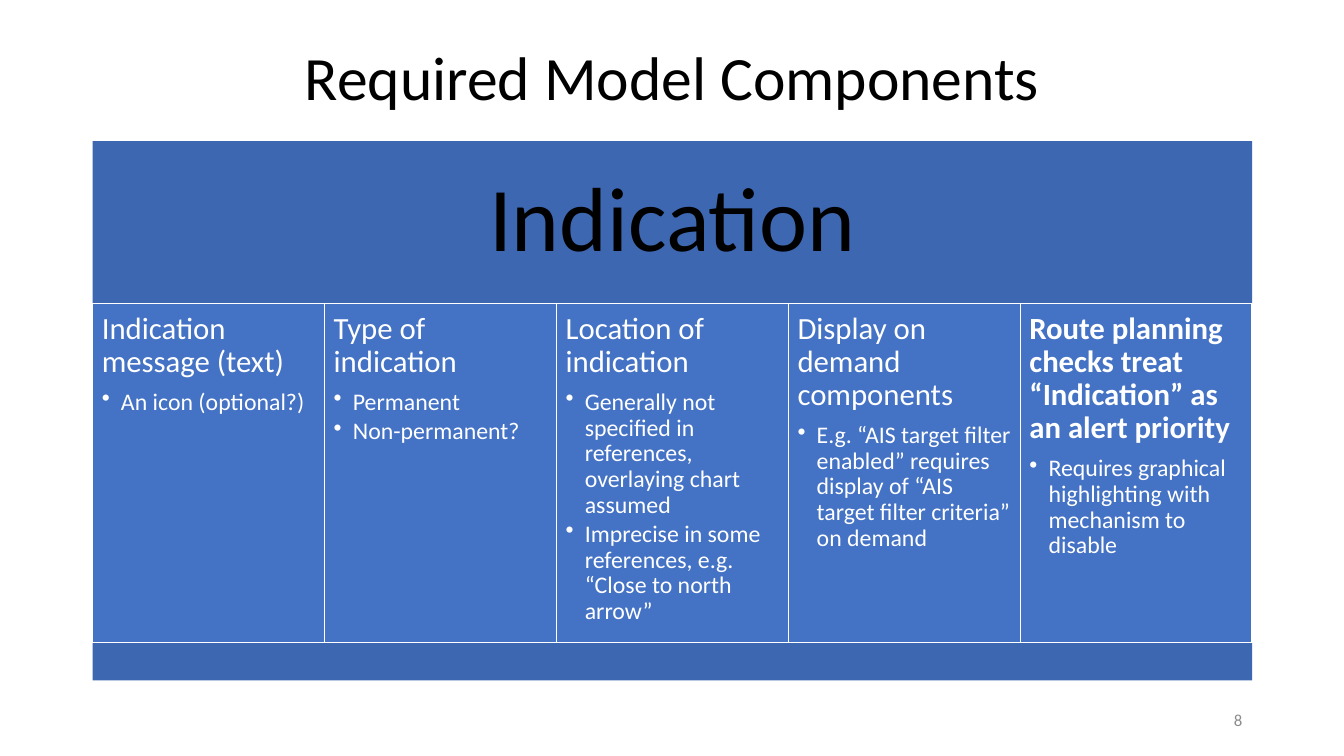
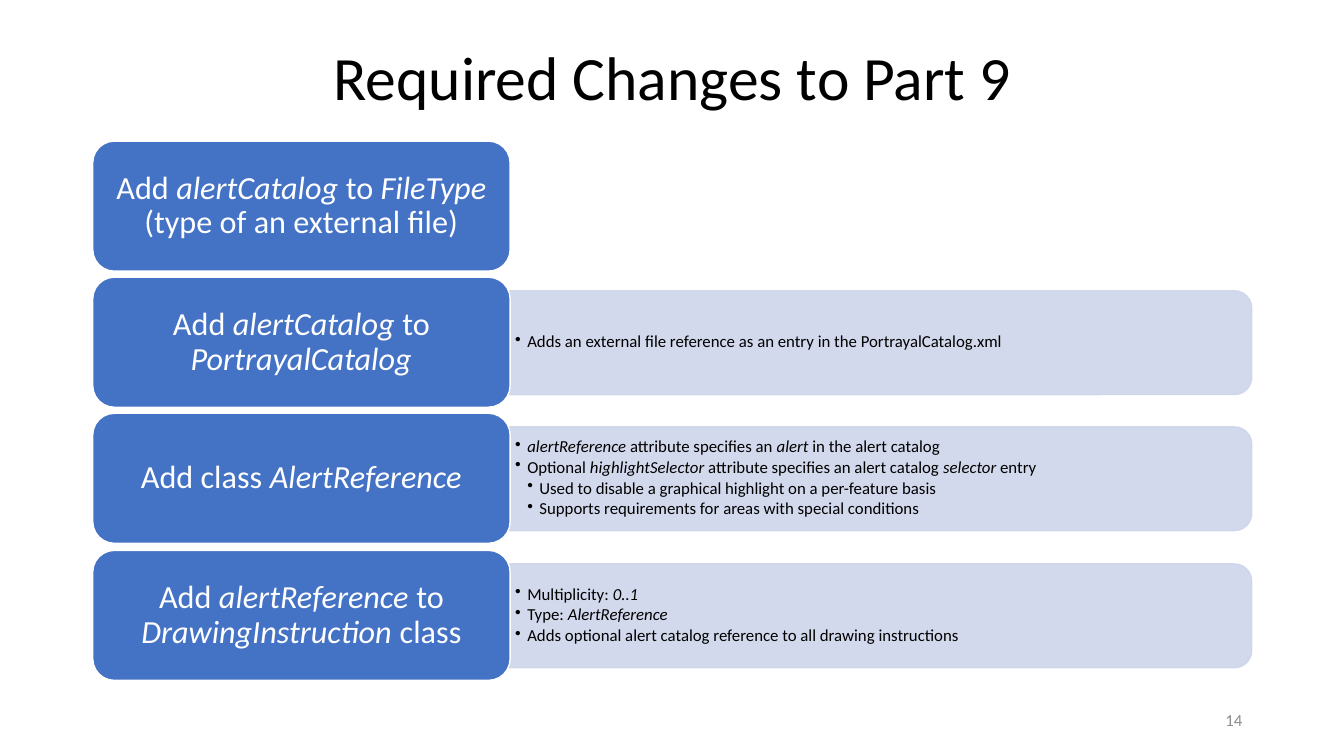
"""Build two slides on alert model components and catalogue changes."""
from dataclasses import dataclass

import lxml.etree
import pptx
import pptx.dml.color
import pptx.enum.shapes
import pptx.enum.text
import pptx.oxml.ns
import pptx.util

SHAPE = pptx.enum.shapes.MSO_SHAPE
ALIGN = pptx.enum.text.PP_ALIGN
ANCHOR = pptx.enum.text.MSO_ANCHOR
qn = pptx.oxml.ns.qn


@dataclass(frozen=True)
class Theme:
    """Colours, font, type sizes and page boxes in px."""
    font: str = "Calibri"
    black: str = "000000"
    white: str = "FFFFFF"
    grey: str = "8C8C8C"
    blue: str = "4472C4"
    dark_blue: str = "3E67B2"
    pale_blue: str = "CFD5EA"
    title: int = 44
    banner: int = 65
    card: int = 23
    heading: int = 22
    bullet: int = 17
    detail: int = 12
    page: tuple = (1333, 750)
    title_box: tuple = (92, 40, 1150, 79)
    body_box: tuple = (92, 140, 1150, 535)
    number_box: tuple = (942, 695, 300, 40)


THEME = Theme()

COLUMNS = [
    ("Indication message (text)", False, ["An icon (optional?)"]),
    ("Type of indication", False, ["Permanent", "Non-permanent?"]),
    ("Location of indication", False, [
        "Generally not specified in references, overlaying chart assumed",
        "Imprecise in some references, e.g. “Close to north arrow”"]),
    ("Display on demand components", False, [
        "E.g. “AIS target filter enabled” requires display of "
        "“AIS target filter criteria” on demand"]),
    ("Route planning checks treat “Indication” as an alert priority", True, [
        "Requires graphical highlighting with mechanism to disable"]),
]

CHANGES = [
    ("Add *alertCatalog* to *FileType* (type of an external file)", []),
    ("Add *alertCatalog* to *PortrayalCatalog*", [
        (1, "Adds an external file reference as an entry in the "
            "PortrayalCatalog.xml")]),
    ("Add class *AlertReference*", [
        (1, "*alertReference* attribute specifies an *alert* "
            "in the alert catalog"),
        (1, "Optional *highlightSelector* attribute specifies an alert "
            "catalog *selector* entry"),
        (2, "Used to disable a graphical highlight on a per-feature basis"),
        (2, "Supports requirements for areas with special conditions")]),
    ("Add *alertReference* to *DrawingInstruction* class", [
        (1, "Multiplicity: *0..1*"),
        (1, "Type: *AlertReference*"),
        (1, "Adds optional alert catalog reference to all "
            "drawing instructions")]),
]


def px(n):
    """Turn px, 100 to the inch, into EMU."""
    return pptx.util.Emu(n * 9144)


def rgb(color):
    """Turn a hex string into a colour."""
    return pptx.dml.color.RGBColor.from_string(color)


def set_frame(sp, anchor=ANCHOR.MIDDLE, insets=(10, 5)):
    """Set wrapping, anchor and side and top insets, and return the frame."""
    tf = sp.text_frame
    tf.word_wrap = True
    tf.auto_size = pptx.enum.text.MSO_AUTO_SIZE.NONE
    tf.vertical_anchor = anchor
    tf.margin_left = tf.margin_right = px(insets[0])
    tf.margin_top = tf.margin_bottom = px(insets[1])
    return tf


def add_text(tf, text, size, color=THEME.white, align=ALIGN.LEFT, bold=False,
             after=0, level=0, hang=0):
    """Add a paragraph whose *starred* parts are italic."""
    p = tf.paragraphs[0] if not tf.text else tf.add_paragraph()
    if level:
        p.level = level
        pPr = p._p.get_or_add_pPr()
        pPr.set("marL", str(px(hang * level)))
        pPr.set("indent", str(px(-hang)))
        lxml.etree.SubElement(pPr, qn("a:buChar")).set("char", "•")
    p.alignment = align
    p.line_spacing = 0.9
    p.space_before = pptx.util.Pt(0)
    p.space_after = pptx.util.Pt(round(size * after, 1))
    for i, part in enumerate(text.split("*")):
        if part:
            r = p.add_run()
            r.text = part
            r.font.name = THEME.font
            r.font.size = pptx.util.Pt(size)
            r.font.color.rgb = rgb(color)
            r.font.bold = bold
            r.font.italic = i % 2 == 1


def add_box(slide, kind, box, fill, line=None):
    """Add a flat preset shape with an optional one-point outline."""
    sp = slide.shapes.add_shape(kind, *map(px, box))
    sp.shadow.inherit = False
    sp.fill.solid()
    sp.fill.fore_color.rgb = rgb(fill)
    if line:
        sp.line.color.rgb = rgb(line)
        sp.line.width = pptx.util.Pt(1)
    else:
        sp.line.fill.background()
    return sp


def add_page(prs, title, number):
    """Add a slide with its title and page number."""
    slide = prs.slides.add_slide(prs.slide_layouts[5])
    sp = slide.shapes.title
    sp.left, sp.top, sp.width, sp.height = map(px, THEME.title_box)
    add_text(set_frame(sp), title, THEME.title, color=THEME.black,
             align=ALIGN.CENTER)
    sp = slide.shapes.add_textbox(*map(px, THEME.number_box))
    add_text(set_frame(sp), str(number), THEME.detail, color=THEME.grey,
             align=ALIGN.RIGHT)
    return slide


def add_column(slide, box, heading, bold, bullets):
    """Add one column with a heading over bullets."""
    sp = add_box(slide, SHAPE.RECTANGLE, box, THEME.blue, THEME.white)
    tf = set_frame(sp, ANCHOR.TOP, (9, 9))
    add_text(tf, heading, THEME.heading, bold=bold, after=0.35)
    for text in bullets:
        add_text(tf, text, THEME.bullet, after=0.15, level=1, hang=19)


def add_banner_table(slide, box, banner, columns):
    """Add a banner, equal columns and a closing band."""
    x, y, w, h = box
    top, foot = 161, 37
    sp = add_box(slide, SHAPE.RECTANGLE, (x, y, w, top), THEME.dark_blue)
    add_text(set_frame(sp, insets=(27, 27)), banner, THEME.banner,
             color=THEME.black, align=ALIGN.CENTER, after=0.35)
    step = w // len(columns)
    for i, column in enumerate(columns):
        add_column(slide, (x + i * step, y + top, step, h - top - foot),
                   *column)
    add_box(slide, SHAPE.RECTANGLE, (x, y + h - foot, w, foot),
            THEME.dark_blue)


def add_detail(slide, box, bullets):
    """Add a pale panel, rounded on its right, with bullets."""
    x, y, w, h = box
    shift = (w - h) // 2
    sp = add_box(slide, SHAPE.ROUND_2_SAME_RECTANGLE,
                 (x + shift, y - shift, h, w),
                 THEME.pale_blue, THEME.pale_blue)
    sp.rotation = 90
    for clr in sp._element.spPr.iter(qn("a:srgbClr")):
        lxml.etree.SubElement(clr, qn("a:alpha")).set("val", "90000")
    sp = slide.shapes.add_textbox(*map(px, (x, y + 5, w - 5, h - 10)))
    tf = set_frame(sp, insets=(5, 3))
    for level, text in bullets:
        add_text(tf, text, THEME.detail, color=THEME.black, after=0.15,
                 level=level, hang=12)


def add_change_list(slide, box, changes):
    """Add evenly spaced cards, each with its detail panel."""
    x, y, w, h = box
    card_w, card_h, inset = 414, 129, 13
    for i, (label, bullets) in enumerate(changes):
        top = y + i * (h - card_h) // (len(changes) - 1)
        if bullets:
            add_detail(slide, (x + card_w, top + inset, w - card_w,
                               card_h - 2 * inset), bullets)
        sp = add_box(slide, SHAPE.ROUNDED_RECTANGLE, (x, top, card_w, card_h),
                     THEME.blue, THEME.white)
        add_text(set_frame(sp), label, THEME.card, align=ALIGN.CENTER,
                 after=0.35)


def main():
    """Build and save the slides."""
    prs = pptx.Presentation()
    prs.slide_width, prs.slide_height = map(px, THEME.page)
    slide = add_page(prs, "Required Model Components", 8)
    add_banner_table(slide, THEME.body_box, "Indication", COLUMNS)
    slide = add_page(prs, "Required Changes to Part 9", 14)
    add_change_list(slide, THEME.body_box, CHANGES)
    prs.save("out.pptx")


if __name__ == "__main__":
    main()
